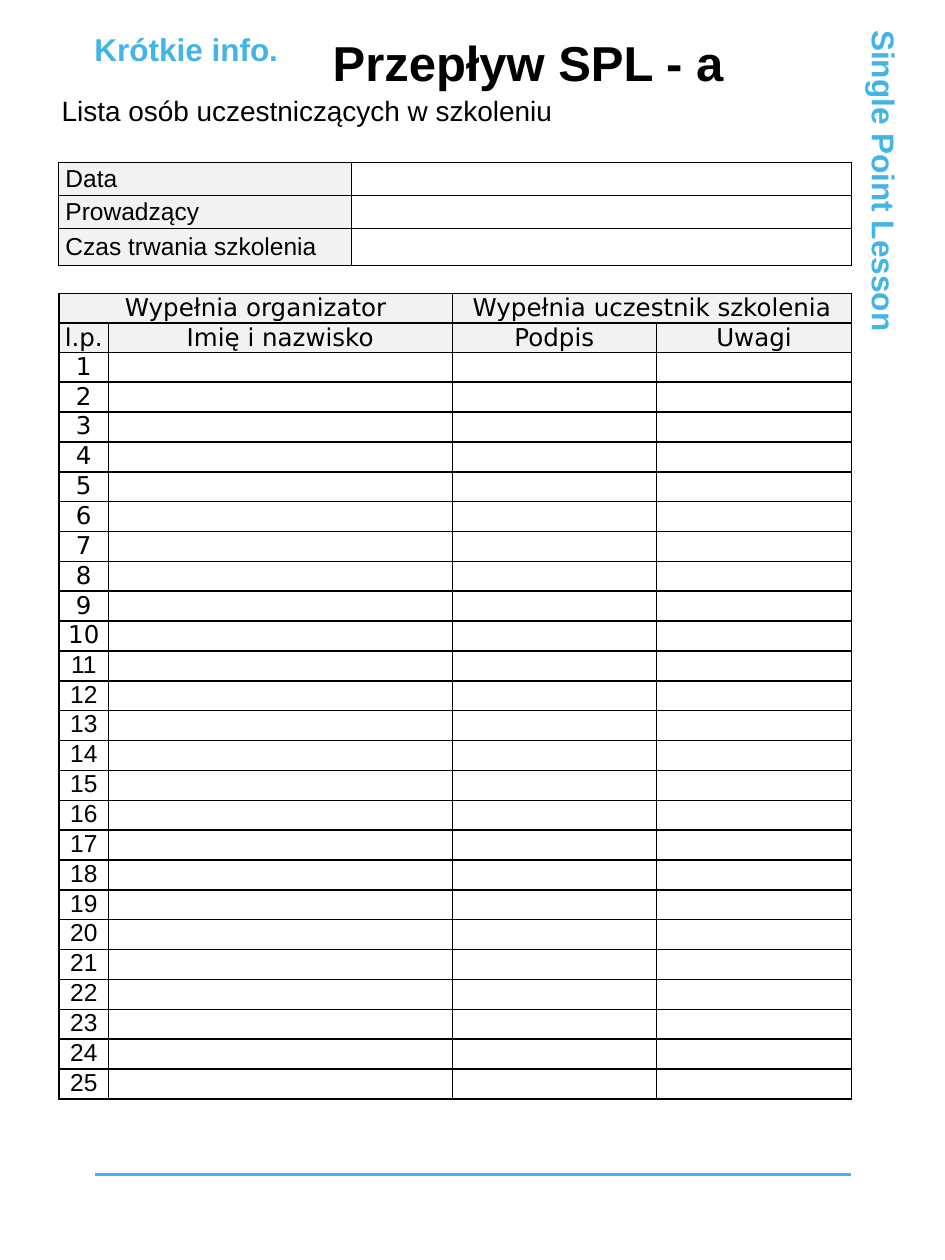
import pptx
import pptx.util
import pptx.dml.color
import pptx.enum.shapes
import pptx.enum.text
import pptx.oxml.ns
import lxml.etree

Inches, Pt = pptx.util.Inches, pptx.util.Pt
RGB = pptx.dml.color.RGBColor.from_string
ALIGN, ANCHOR = pptx.enum.text.PP_ALIGN, pptx.enum.text.MSO_ANCHOR
qn = pptx.oxml.ns.qn

W, H = 7.5, 10
THEME = {
    "accent": "42B4E6", "ink": "000000", "head": "F2F2F2", "paper": "FFFFFF",
    "sans": "Arial", "form": "DejaVu Sans",
    "title": 28, "label": 18, "subtitle": 16, "cell": 14,
}
LABEL = {"size": THEME["label"], "color": THEME["accent"], "bold": True, "before": 2}
TEXTS = [
    ("Krótkie info.", (0.1 * W, 0.24, 2.76, 0.3), LABEL),
    ("Przepływ SPL - a", (2.64, 0.24, 4.11, 0.51),
     {"size": THEME["title"], "bold": True, "anchor": ANCHOR.MIDDLE}),
    ("Lista osób uczestniczących w szkoleniu", (0.49, 0.74, 6.1, 0.37),
     {"size": THEME["subtitle"]}),
]
SIDE = ("Single Point Lesson", (4.11, 3, 5.82, 0.3), LABEL)
RULE = (0.1 * W, 0.9 * W, 0.932 * H)

DETAILS = ["Data", "Prowadzący", "Czas trwania szkolenia"]
DETAIL_COLS, DETAIL_ROWS = [2.33, 3.97], [0.26, 0.26, 0.3]
GROUPS = ["Wypełnia organizator", "Wypełnia uczestnik szkolenia"]
HEADINGS = ["l.p.", "Imię i nazwisko", "Podpis", "Uwagi"]
ATTENDEES, FORM_FONT_UNTIL = 25, 10
LIST_COLS, LIST_HEIGHT = [0.39, 2.73, 1.62, 1.55], 6.3


def write(tf, text, size, color=THEME["ink"], font=THEME["sans"], bold=False,
          align=ALIGN.LEFT, before=0):
    p = tf.paragraphs[0]
    p.alignment = align
    p.space_before = Pt(before)
    r = p.add_run()
    r.text = text
    r.font.size, r.font.name, r.font.bold = Pt(size), font, bold
    r.font.color.rgb = RGB(color)


def fill_frame(sp, text, anchor=ANCHOR.TOP, **style):
    tf = sp.text_frame
    tf.word_wrap = True
    tf.margin_left = tf.margin_right = tf.margin_top = tf.margin_bottom = 0
    tf.vertical_anchor = anchor
    write(tf, text, **style)


def add_grid(s, left, top, cols, rows, line, margin):
    box = map(Inches, (left, top, sum(cols), sum(rows)))
    table = s.shapes.add_table(len(rows), len(cols), *box).table
    table.first_row = table.horz_banding = False
    for col, width in zip(table.columns, cols):
        col.width = Inches(width)
    for row, height in zip(table.rows, rows):
        row.height = Inches(height)
    for cell in table.iter_cells():
        cell.margin_left = cell.margin_right = Inches(margin)
        cell.margin_top = cell.margin_bottom = 0
        cell.fill.background()
        tc_pr = cell._tc.get_or_add_tcPr()
        for i, side in enumerate(("lnL", "lnR", "lnT", "lnB")):
            ln = lxml.etree.Element(qn("a:" + side), w=str(Pt(line)))
            solid = lxml.etree.SubElement(ln, qn("a:solidFill"))
            lxml.etree.SubElement(solid, qn("a:srgbClr"), val=THEME["ink"])
            tc_pr.insert(i, ln)
        p = cell.text_frame.paragraphs[0]
        lxml.etree.SubElement(p._p, qn("a:endParaRPr"), sz=str(THEME["cell"] * 100))
    return table


def put(cell, text, font=THEME["sans"], align=ALIGN.CENTER, head=False):
    if head:
        cell.fill.solid()
        cell.fill.fore_color.rgb = RGB(THEME["head"])
        cell.vertical_anchor = ANCHOR.MIDDLE
    write(cell.text_frame, text, THEME["cell"], font=font, align=align)


def add_side_label(s):
    text, box, style = SIDE
    sp = s.shapes.add_shape(pptx.enum.shapes.MSO_SHAPE.RECTANGLE, *map(Inches, box))
    sp.rotation = 90
    sp.shadow.inherit = False
    sp.fill.solid()
    sp.fill.fore_color.rgb = RGB(THEME["paper"])
    sp.line.fill.background()
    fill_frame(sp, text, **style)


def add_rule(s):
    x1, x2, y = map(Inches, RULE)
    rule = s.shapes.add_connector(pptx.enum.shapes.MSO_CONNECTOR.STRAIGHT, x1, y, x2, y)
    rule.line.color.rgb = RGB(THEME["accent"])
    rule.line.width = Pt(1.5)
    lxml.etree.SubElement(rule._element.spPr, qn("a:effectLst"))


def add_attendance(s):
    count = ATTENDEES + 2
    table = add_grid(s, 0.47, 2.33, LIST_COLS, [LIST_HEIGHT / count] * count, 1, 0.04)
    for i, group in enumerate(GROUPS):
        table.cell(0, 2 * i).merge(table.cell(0, 2 * i + 1))
        put(table.cell(0, 2 * i), group, THEME["form"], head=True)
    for i, heading in enumerate(HEADINGS):
        put(table.cell(1, i), heading, THEME["form"], head=True)
    for n in range(1, ATTENDEES + 1):
        font = THEME["form"] if n <= FORM_FONT_UNTIL else THEME["sans"]
        put(table.cell(n + 1, 0), str(n), font)


def add_details(s):
    table = add_grid(s, 0.46, 1.29, DETAIL_COLS, DETAIL_ROWS, 0.5, 0.06)
    for i, label in enumerate(DETAILS):
        put(table.cell(i, 0), label, align=ALIGN.LEFT, head=True)


def main():
    prs = pptx.Presentation()
    prs.slide_width, prs.slide_height = Inches(W), Inches(H)
    s = prs.slides.add_slide(prs.slide_layouts[6])
    add_side_label(s)
    add_rule(s)
    add_attendance(s)
    add_details(s)
    for text, box, style in TEXTS:
        fill_frame(s.shapes.add_textbox(*map(Inches, box)), text, **style)
    prs.save("out.pptx")


if __name__ == "__main__":
    main()
